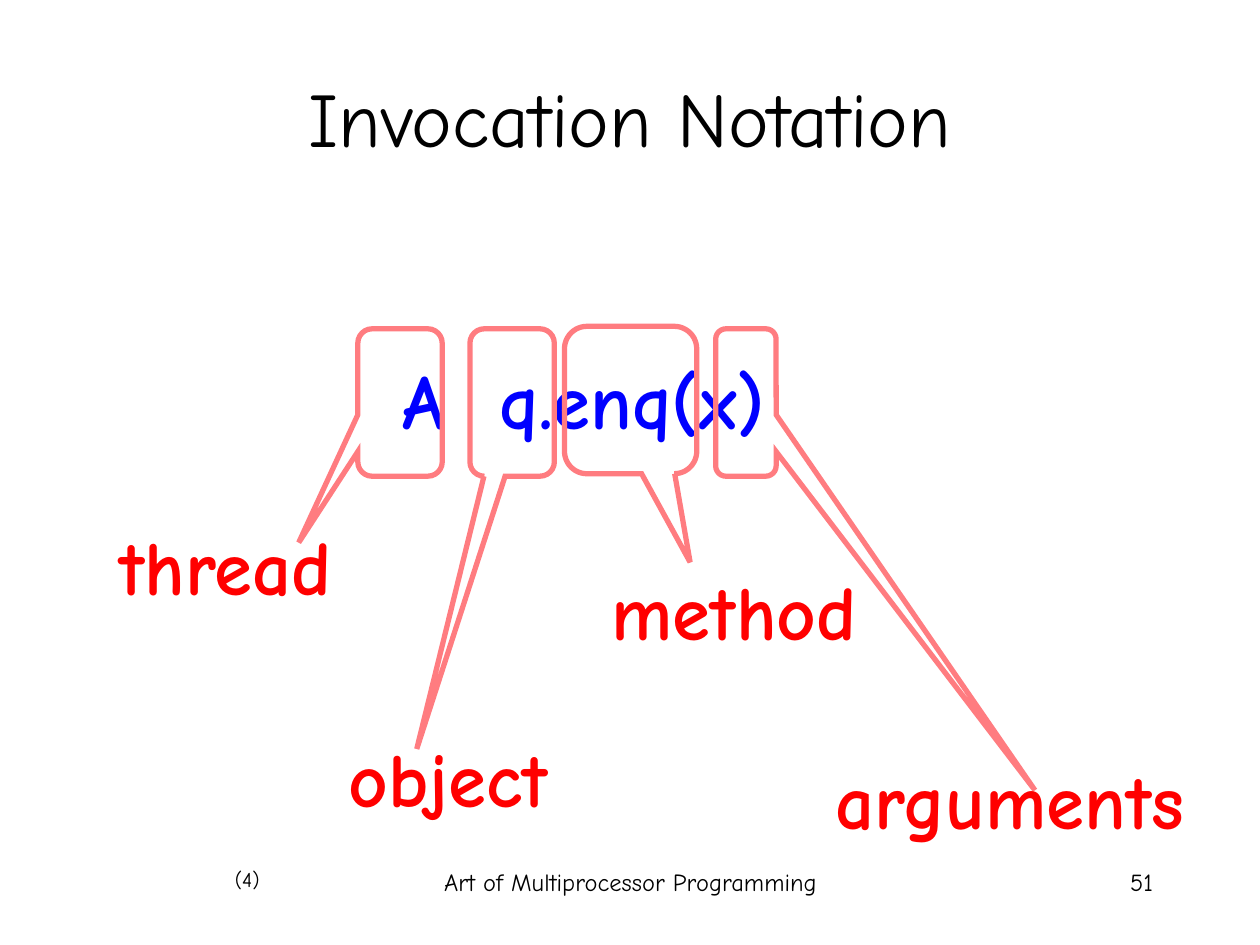
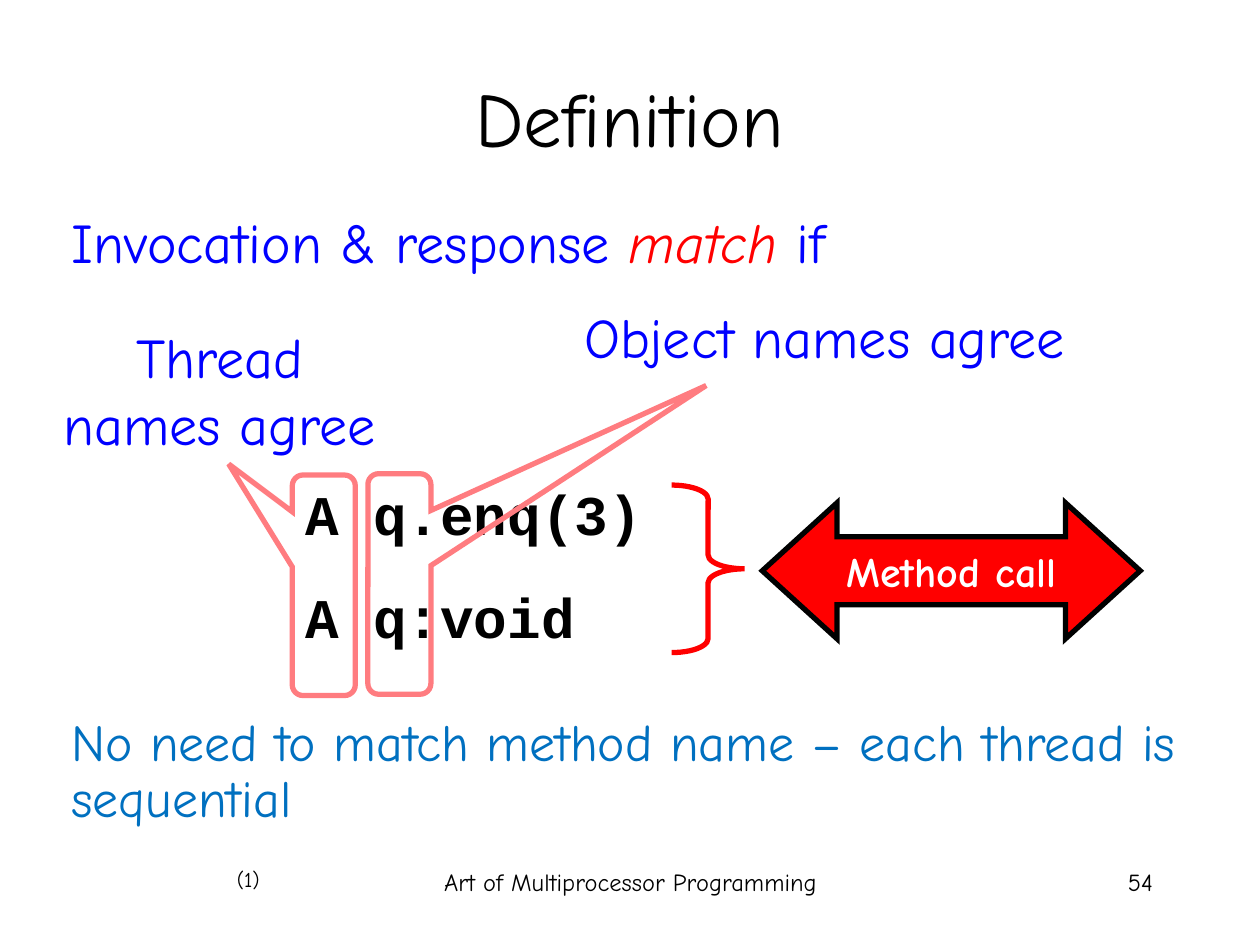
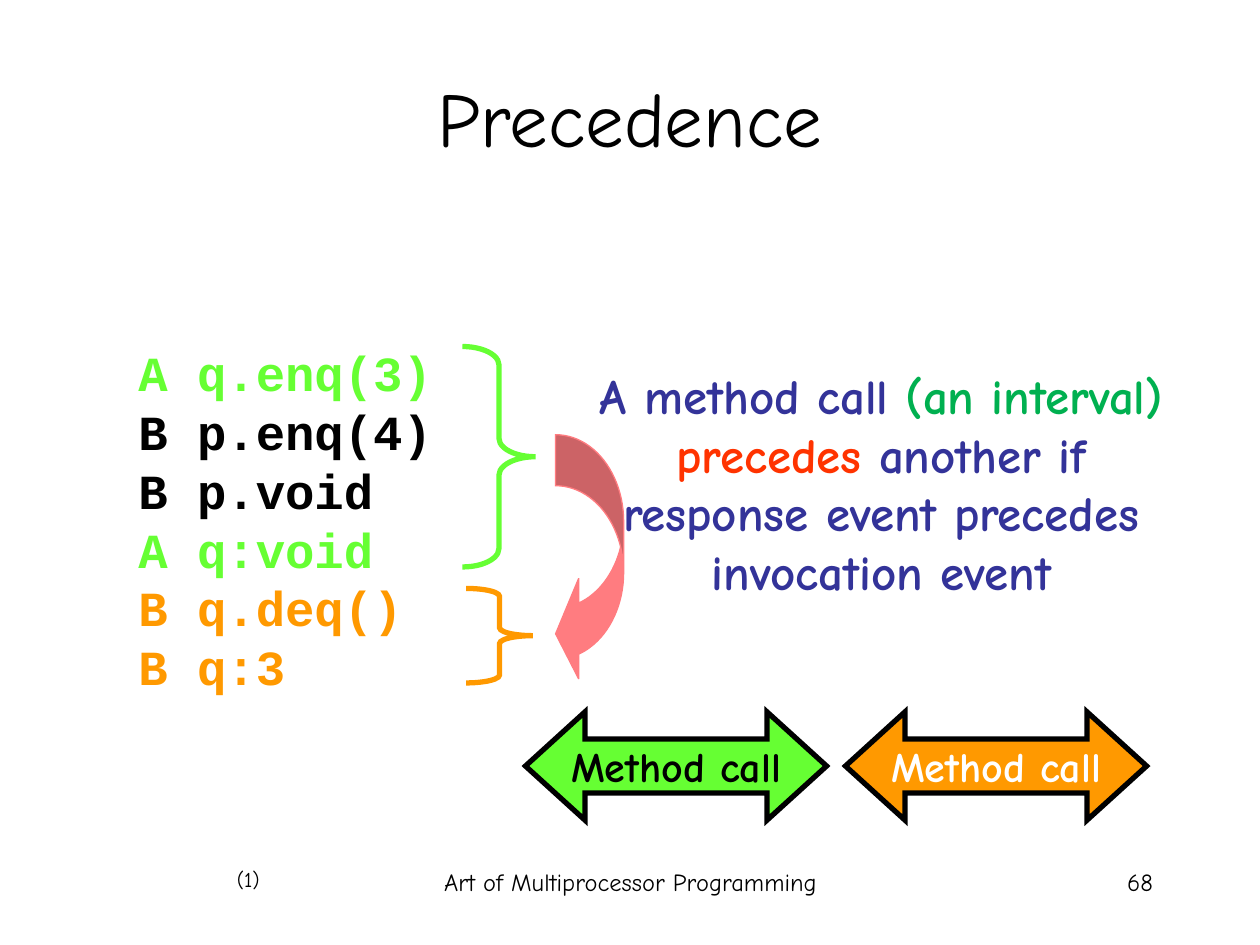
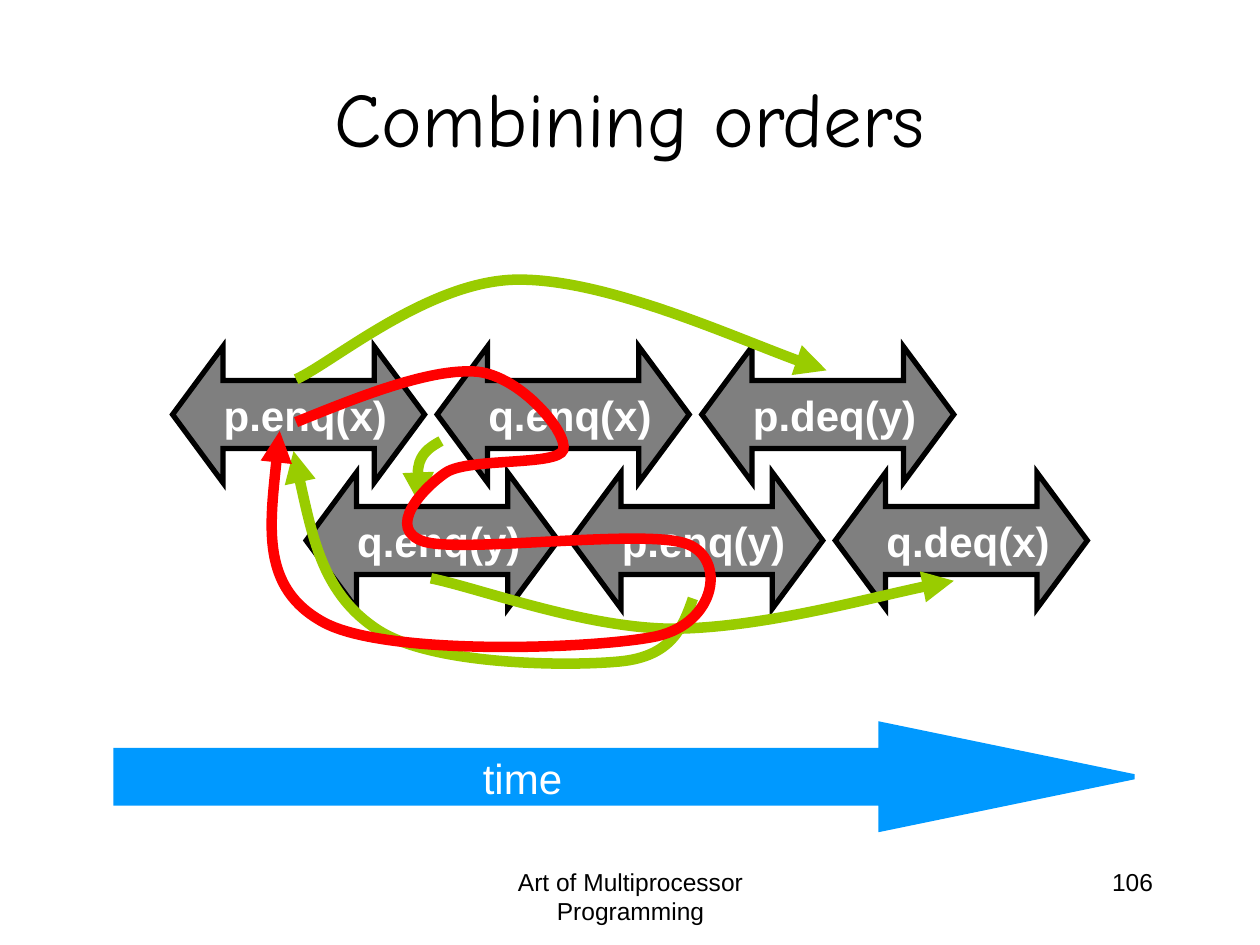
from dataclasses import dataclass, replace
from typing import Any, Sequence

from lxml import etree
from pptx import Presentation
from pptx.dml.color import RGBColor
from pptx.enum.shapes import MSO_SHAPE
from pptx.enum.text import MSO_ANCHOR, MSO_AUTO_SIZE, PP_ALIGN
from pptx.oxml.ns import qn
from pptx.util import Inches, Pt

LEFT, CENTER, RIGHT = PP_ALIGN.LEFT, PP_ALIGN.CENTER, PP_ALIGN.RIGHT
MIDDLE, TOP = MSO_ANCHOR.MIDDLE, MSO_ANCHOR.TOP
GROW, FIXED = MSO_AUTO_SIZE.SHAPE_TO_FIT_TEXT, MSO_AUTO_SIZE.NONE
CALLOUT = MSO_SHAPE.ROUNDED_RECTANGULAR_CALLOUT
BRACE = MSO_SHAPE.RIGHT_BRACE
INTERVAL = MSO_SHAPE.LEFT_RIGHT_ARROW
TIME_ARROW = MSO_SHAPE.RIGHT_ARROW
CURVED_ARROW = MSO_SHAPE.CURVED_LEFT_ARROW

# Shared look
COMIC, MONO, SANS = "Comic Neue", "Courier New", "Arial"
BLACK, WHITE, GRAY = "000000", "FFFFFF", "7F7F7F"
BLUE, RED, PINK = "0000FF", "FF0000", "FF7C80"
LIME, ORANGE, OLIVE = "66FF33", "FF9900", "99CC00"
NAVY, GREEN, SCARLET = "333399", "00B050", "FF3300"
TEAL, SKY = "0070C0", "0099FF"
FOOTER = "Art of Multiprocessor Programming"
TITLE_ONLY, TITLE_AND_BODY = 5, 1

Point = tuple[float, float]


@dataclass(frozen=True)
class Box:
    left: float
    top: float
    width: float
    height: float

    def emu(self) -> tuple[int, int, int, int]:
        return (Inches(self.left), Inches(self.top),
                Inches(self.width), Inches(self.height))


@dataclass(frozen=True)
class Run:
    text: str
    color: str = BLACK
    italic: bool = False


@dataclass(frozen=True)
class Style:
    size: float
    font: str = COMIC
    bold: bool = False
    align: Any = LEFT
    before: float = 0
    spacing: float | None = None


@dataclass(frozen=True)
class Callout:
    box: Box
    tip: Point


@dataclass(frozen=True)
class Label:
    text: str
    box: Box


Paragraphs = Sequence[Sequence[Run]]

TITLE_STYLE = Style(44, align=CENTER)
BODY_STYLE = Style(32)
WORD_STYLE = Style(44, bold=True, align=RIGHT)
CALL_STYLE = Style(24, bold=True, align=CENTER)
QUEUE_STYLE = Style(24, SANS, bold=True, align=RIGHT)


def rgb(color: str) -> RGBColor:
    return RGBColor.from_string(color)


def write(frame: Any, paragraphs: Paragraphs, style: Style) -> None:
    """Fill a text frame, one paragraph per group of runs."""
    for index, runs in enumerate(paragraphs):
        paragraph = frame.add_paragraph() if index else frame.paragraphs[0]
        paragraph.alignment = style.align
        paragraph.space_before = Pt(style.before if index else 0)
        if style.spacing:
            paragraph.line_spacing = style.spacing
        paragraph.font.name = style.font
        paragraph.font.size = Pt(style.size)
        paragraph.font.bold = style.bold
        one_color = len({run.color for run in runs}) == 1
        if one_color:
            paragraph.font.color.rgb = rgb(runs[0].color)
        for run in runs:
            part = paragraph.add_run()
            part.text = run.text
            if not one_color:
                part.font.color.rgb = rgb(run.color)
            if run.italic:
                part.font.italic = True


def add_text(shapes: Any, box: Box, paragraphs: Paragraphs, style: Style,
             wrap: bool = True, fit: Any = GROW) -> Any:
    frame = shapes.add_textbox(*box.emu()).text_frame
    frame.word_wrap = wrap
    frame.auto_size = fit
    write(frame, paragraphs, style)
    return frame


def paint(shape: Any, fill: str | None, line: str, weight: float) -> None:
    """Set fill and outline, with sharp corners."""
    shape.shadow.inherit = False
    if fill:
        shape.fill.solid()
        shape.fill.fore_color.rgb = rgb(fill)
    else:
        shape.fill.background()
    shape.line.color.rgb = rgb(line)
    shape.line.width = Pt(weight)
    etree.SubElement(shape.element.spPr.find(qn("a:ln")), qn("a:miter"),
                     lim="800000")


def add_preset(shapes: Any, kind: Any, box: Box, adjustments: Sequence[float],
               fill: str | None, line: str, weight: float = 3) -> Any:
    shape = shapes.add_shape(kind, *box.emu())
    for index, value in enumerate(adjustments):
        shape.adjustments[index] = value
    paint(shape, fill, line, weight)
    return shape


def add_callout(shapes: Any, callout: Callout) -> None:
    add_preset(shapes, CALLOUT, callout.box, (*callout.tip, 0.17), None, PINK)


def add_brace(shapes: Any, box: Box, color: str) -> None:
    """Each bend of the brace takes a twelfth of its height."""
    bend = box.height / 12 / box.width
    add_preset(shapes, BRACE, box, (bend, 0.5), None, color)


def add_interval(shapes: Any, box: Box, label: Run, fill: str,
                 style: Style, head: float) -> None:
    arrow = add_preset(shapes, INTERVAL, box, (0.5, head), fill, BLACK)
    arrow.text_frame.word_wrap = False
    arrow.text_frame.vertical_anchor = MIDDLE
    write(arrow.text_frame, [[label]], style)


def add_curve(shapes: Any, points: Sequence[Point], color: str,
              arrow_end: str) -> None:
    """Draw cubic curves: a start, then two handles and an end for each."""
    start, *others = [(Inches(x), Inches(y)) for x, y in points]
    builder = shapes.build_freeform(*start)
    builder.add_line_segments(others, close=False)
    curve = builder.convert_to_shape()
    paint(curve, None, color, 6)
    properties = curve.element.spPr
    lines = list(properties.iter(qn("a:lnTo")))
    outline = lines[0].getparent()
    for first in range(0, len(lines), 3):
        cubic = etree.SubElement(outline, qn("a:cubicBezTo"))
        for line in lines[first:first + 3]:
            cubic.append(line[0])
            outline.remove(line)
    etree.SubElement(properties.find(qn("a:ln")), qn(arrow_end), type="triangle")


def place(placeholder: Any, box: Box, anchor: Any) -> Any:
    (placeholder.left, placeholder.top,
     placeholder.width, placeholder.height) = box.emu()
    frame = placeholder.text_frame
    frame.word_wrap = True
    frame.auto_size = FIXED
    frame.vertical_anchor = anchor
    return frame


def add_slide(deck: Any, title: str, number: str, note: str = "",
              layout: int = TITLE_ONLY, footer_font: str = COMIC) -> Any:
    """Start a slide with its title, footer, page number and click count."""
    slide = deck.slides.add_slide(deck.slide_layouts[layout])
    frame = place(slide.shapes.title, Box(0.5, 0.3, 9, 1.25), MIDDLE)
    write(frame, [[Run(title)]], TITLE_STYLE)
    footer = Style(14, footer_font, align=CENTER)
    add_text(slide.shapes, Box(3.42, 6.83, 3.17, 0.5), [[Run(FOOTER)]],
             footer, fit=FIXED)
    add_text(slide.shapes, Box(7.17, 6.83, 2.08, 0.5), [[Run(number)]],
             replace(footer, align=RIGHT), fit=FIXED)
    if note:
        add_text(slide.shapes, Box(1.76, 6.83, 0.4, 0.3), [[Run(note)]],
                 Style(12, align=RIGHT), wrap=False)
    return slide


def build_invocation(deck: Any) -> None:
    shapes = add_slide(deck, "Invocation Notation", "51", "(4)").shapes
    add_text(shapes, Box(3.08, 2.75, 3.09, 0.84),
             [[Run("A  q.enq(x)", BLUE)]], WORD_STYLE, wrap=False)
    parts = [
        (Callout(Box(2.84, 2.61, 0.67, 1.17), (-1.2, 0.95)),
         Label("thread", Box(0.82, 4.07, 1.91, 0.84))),
        (Callout(Box(3.73, 2.61, 0.67, 1.17), (-1.13, 2.35)),
         Label("object", Box(2.64, 5.75, 1.81, 0.84))),
        (Callout(Box(4.48, 2.59, 1.05, 1.17), (0.45, 1.1)),
         Label("method", Box(4.73, 4.42, 2.17, 0.84))),
        (Callout(Box(5.68, 2.61, 0.48, 1.17), (4.78, 2.63)),
         Label("arguments", Box(6.5, 5.92, 3, 0.84))),
    ]
    for callout, label in parts:
        add_callout(shapes, callout)
        add_text(shapes, label.box, [[Run(label.text, RED)]], WORD_STYLE,
                 wrap=False)


def build_definition(deck: Any) -> None:
    slide = add_slide(deck, "Definition", "54", "(1)", TITLE_AND_BODY)
    shapes = slide.shapes

    # Lead sentence, without a bullet
    body = place(slide.placeholders[1], Box(0.47, 1.6, 9, 0.8), TOP)
    lead = body.paragraphs[0]._p.get_or_add_pPr()
    lead.set("marL", "0")
    lead.set("indent", "0")
    etree.SubElement(lead, qn("a:buNone"))
    write(body, [[Run("Invocation & response ", BLUE),
                  Run("match", RED, italic=True), Run(" if", BLUE)]], BODY_STYLE)

    # Matching events
    add_text(shapes, Box(2.33, 3.76, 5, 1.45),
             [[Run("A q.enq(3)")], [Run("A q:void")]],
             Style(32, MONO, bold=True, before=20))
    add_brace(shapes, Box(5.33, 3.85, 0.58, 1.33), RED)
    add_callout(shapes, Callout(Box(2.32, 3.77, 0.5, 1.75), (-1.51, -0.55)))
    add_callout(shapes, Callout(Box(2.92, 3.76, 0.5, 1.75), (4.87, -0.9)))

    # Conditions
    condition = replace(BODY_STYLE, align=CENTER)
    add_text(shapes, Box(0.33, 2.51, 2.83, 1.17),
             [[Run("Thread names agree", BLUE)]], condition)
    objects = add_text(shapes, Box(3.92, 2.35, 4.75, 0.64),
                       [[Run("Object names agree", BLUE)]], condition)
    objects.paragraphs[0].level = 1
    objects.paragraphs[0]._p.pPr.set("marL", str(Inches(0.5)))

    add_interval(shapes, Box(6.05, 3.99, 3, 1.08), Run("Method call", WHITE),
                 RED, CALL_STYLE, 0.55)
    add_text(shapes, Box(0.47, 5.64, 9, 1.13),
             [[Run("No need to match method name – each thread is sequential",
                   TEAL)]], Style(29.6, spacing=0.9), fit=FIXED)


def build_precedence(deck: Any) -> None:
    shapes = add_slide(deck, "Precedence", "68", "(1)").shapes

    # History and its two method calls
    history = [("A q.enq(3)", LIME), ("B p.enq(4)", BLACK), ("B p.void", BLACK),
               ("A q:void", LIME), ("B q.deq()", ORANGE), ("B q:3", ORANGE)]
    add_text(shapes, Box(1, 2.67, 3.05, 2.9),
             [[Run(event, color)] for event, color in history],
             Style(28, MONO, bold=True))
    add_brace(shapes, Box(3.67, 2.75, 0.58, 1.75), LIME)
    add_brace(shapes, Box(3.7, 4.67, 0.53, 0.75), ORANGE)

    add_text(shapes, Box(4.53, 2.85, 4.93, 1.97),
             [[Run("A method call ", NAVY), Run("(an interval) ", GREEN),
               Run("precedes ", SCARLET),
               Run("another if response event precedes invocation event", NAVY)]],
             Style(28, bold=True, align=CENTER))
    for left, fill, color in ((4.17, LIME, BLACK), (6.71, ORANGE, WHITE)):
        add_interval(shapes, Box(left, 5.65, 2.39, 0.86),
                     Run("Method call", color), fill, CALL_STYLE, 0.55)
    add_preset(shapes, CURVED_ARROW, Box(4.41, 3.45, 0.54, 1.98),
               (0.75, 1.48, 0.34), PINK, PINK, 0.75)


def build_orders(deck: Any) -> None:
    shapes = add_slide(deck, "Combining orders", "106", footer_font=SANS).shapes

    # One row of intervals per thread
    rows = [(1.37, 2.75, ("p.enq(x)", "q.enq(x)", "p.deq(y)")),
            (2.43, 3.75, ("q.enq(y)", "p.enq(y)", "q.deq(x)"))]
    for left, top, calls in rows:
        for column, call in enumerate(calls):
            add_interval(shapes, Box(left + 2.1 * column, top, 2, 1.08),
                         Run(call, WHITE), GRAY, QUEUE_STYLE, 0.37)

    # Time axis
    axis = shapes.add_group_shape().shapes
    add_preset(axis, TIME_ARROW, Box(0.92, 5.75, 8.08, 0.83), (0.5, 2.42),
               SKY, SKY)
    add_text(axis, Box(3.72, 5.92, 0.84, 0.5), [[Run("time", WHITE)]],
             replace(QUEUE_STYLE, bold=False), wrap=False)

    # Orders within each queue and thread
    orders: list[list[Point]] = [
        [(3.33, 4), (3.32, 3.88), (3.31, 3.75), (3.33, 3.67),
         (3.36, 3.58), (3.43, 3.54), (3.5, 3.5)],
        [(7.57, 4.61), (7.19, 4.67), (6.01, 4.99), (5.32, 4.99),
         (4.63, 4.98), (3.81, 4.67), (3.42, 4.59)],
        [(6.56, 2.94), (6.15, 2.82), (4.8, 2.21), (4.1, 2.22),
         (3.4, 2.23), (2.64, 2.88), (2.35, 3.01)],
        [(2.33, 3.58), (2.45, 4.15), (2.57, 4.72), (3, 5),
         (3.43, 5.28), (4.5, 5.29), (4.92, 5.25),
         (5.33, 5.21), (5.42, 4.98), (5.5, 4.75)],
    ]
    for order in orders:
        add_curve(shapes, order, OLIVE, "a:headEnd")

    # Combined order, a cycle
    cycle: list[Point] = [
        (2.35, 3.35), (2.89, 3.13), (3.43, 2.92), (3.79, 2.95),
        (4.14, 2.99), (4.51, 3.44), (4.47, 3.57),
        (4.43, 3.7), (3.72, 3.63), (3.54, 3.75),
        (3.36, 3.87), (3.05, 4.2), (3.37, 4.3),
        (3.69, 4.39), (5.15, 4.19), (5.46, 4.32),
        (5.76, 4.44), (5.69, 4.94), (5.21, 5.05),
        (4.73, 5.15), (3.07, 5.21), (2.57, 4.94),
        (2.07, 4.67), (2.15, 4.04), (2.22, 3.42),
    ]
    add_curve(shapes, cycle, RED, "a:tailEnd")


def main() -> None:
    deck = Presentation()
    deck.slide_width, deck.slide_height = Inches(10), Inches(7.5)
    build_invocation(deck)
    build_definition(deck)
    build_precedence(deck)
    build_orders(deck)
    deck.save("out.pptx")


if __name__ == "__main__":
    main()
